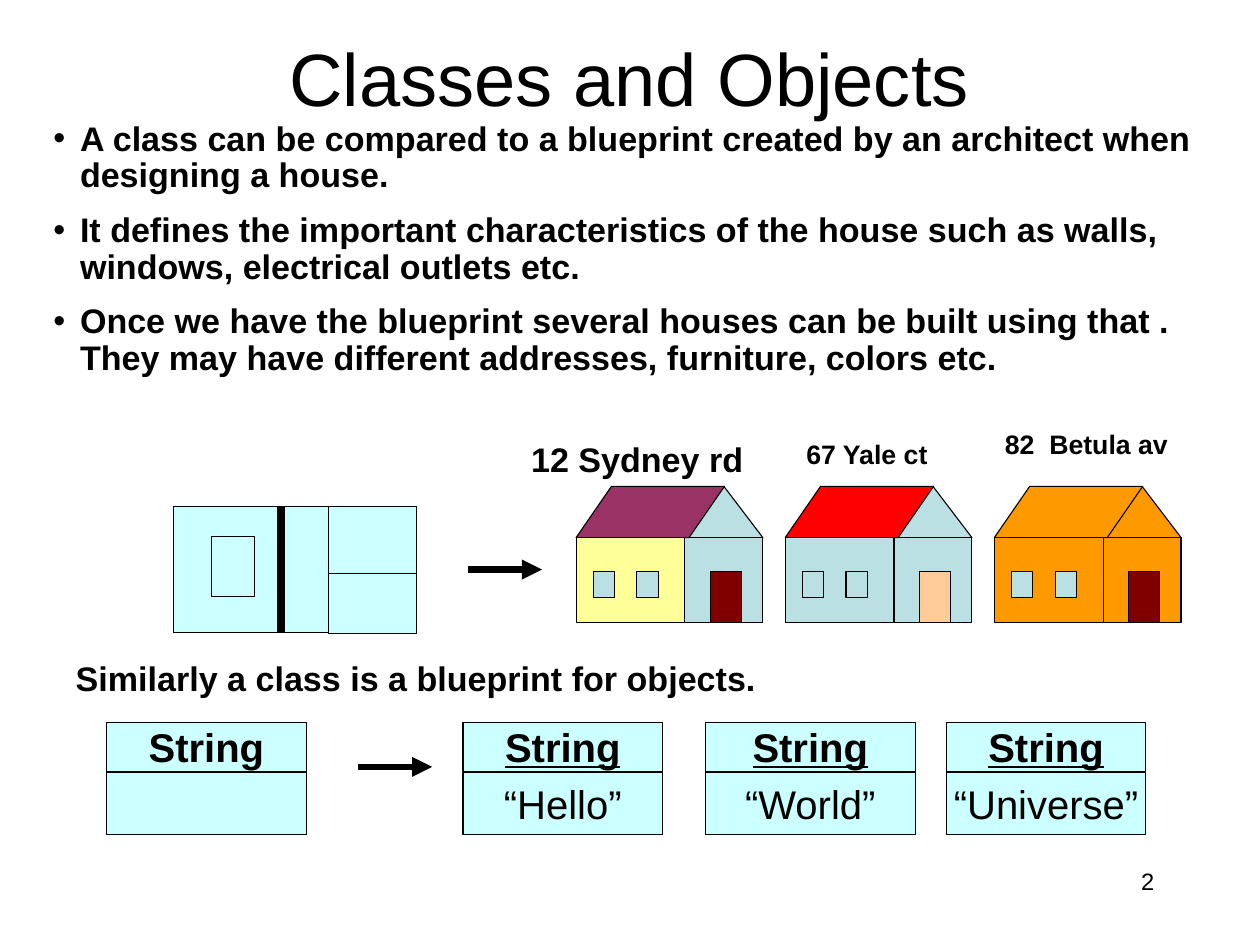
"""Build the slide comparing classes and objects with blueprints and houses."""
from pptx import Presentation
from pptx.dml.color import RGBColor
from pptx.enum.shapes import MSO_CONNECTOR as Connector, MSO_SHAPE as Shape
from pptx.enum.text import MSO_ANCHOR as Anchor, MSO_AUTO_SIZE as AutoSize, PP_ALIGN as Align
from pptx.oxml.ns import qn
from pptx.util import Pt
from lxml.etree import SubElement

PX = 9144
FONT = "Arial"
BLACK = RGBColor(0x00, 0x00, 0x00)
PAPER = RGBColor(0xCC, 0xFF, 0xFF)
PALE_BLUE = RGBColor(0xBB, 0xE0, 0xE3)
PLUM = RGBColor(0x99, 0x33, 0x66)
YELLOW = RGBColor(0xFF, 0xFF, 0x99)
RED = RGBColor(0xFF, 0x00, 0x00)
ORANGE = RGBColor(0xFF, 0x99, 0x00)
MAROON = RGBColor(0x80, 0x00, 0x00)
PEACH = RGBColor(0xFF, 0xCC, 0x99)

TITLE = "Classes and Objects"
BULLETS = [
    "A class can be compared to a blueprint created by an architect when designing a house.",
    "It defines the important characteristics of the house such as walls, windows, "
    "electrical outlets etc.",
    "Once we have the blueprint several houses can be built using that . "
    "They may have different addresses, furniture, colors etc.",
]
SUMMARY = "Similarly a class is a blueprint for objects."
PAGE = "2"

PLAN = [
    ((163, 475, 226, 118), PAPER),
    ((198, 503, 41, 56), PAPER),
    ((260, 475, 7, 118), BLACK),
    ((308, 475, 82, 63), PAPER),
    ((308, 538, 82, 56), PAPER),
]
HOUSE_LEFT, HOUSE_STEP = 540, 196
ROOF_TOP, ROOF_HEIGHT = 456, 48
HOUSES = [
    dict(roof=PLUM, wall=YELLOW, front=PALE_BLUE, door=MAROON),
    dict(roof=RED, wall=PALE_BLUE, front=PALE_BLUE, door=PEACH),
    dict(roof=ORANGE, wall=ORANGE, front=ORANGE, door=MAROON),
]
ADDRESSES = [
    ("12 Sydney rd", (488, 406, 237, 49), 23),
    ("67 Yale ct", (746, 406, 206, 40), 18),
    ("82  Betula av", (932, 396, 206, 40), 18),
]
CARDS = [
    (100, 187, ""),
    (434, 187, "“Hello”"),
    (661, 197, "“World”"),
    (887, 187, "“Universe”"),
]
ARROWS = [(439, 534), (336, 719)]
ARROW_LENGTH = 69


def emu(box):
    return [length * PX for length in box]


def add_run(paragraph, text, size, bold=False, underline=False):
    run = paragraph.add_run()
    run.text = text
    run.font.name = FONT
    run.font.size = Pt(size)
    run.font.bold = bold
    run.font.underline = underline
    run.font.color.rgb = BLACK


def set_frame(frame, anchor=Anchor.TOP, wrap=True, inset=(10, 5)):
    frame.auto_size = AutoSize.NONE
    frame.word_wrap = wrap
    frame.vertical_anchor = anchor
    frame.margin_left = frame.margin_right = inset[0] * PX
    frame.margin_top = frame.margin_bottom = inset[1] * PX


def place(shape, box):
    shape.left, shape.top, shape.width, shape.height = emu(box)


def add_part(shapes, kind, box, fill):
    shape = shapes.add_shape(kind, *emu(box))
    shape.shadow.inherit = False
    shape.fill.solid()
    shape.fill.fore_color.rgb = fill
    shape.line.color.rgb = BLACK
    shape.line.width = Pt(0.75)
    return shape


def add_label(slide, text, box, size, bold=True, align=Align.LEFT, **frame_options):
    frame = slide.shapes.add_textbox(*emu(box)).text_frame
    set_frame(frame, **frame_options)
    paragraph = frame.paragraphs[0]
    paragraph.alignment = align
    add_run(paragraph, text, size, bold)


def fill_placeholders(slide):
    title, body = slide.placeholders
    place(title, (116, 43, 948, 59))
    set_frame(title.text_frame, Anchor.MIDDLE, inset=(11, 6))
    heading = title.text_frame.paragraphs[0]
    heading.alignment = Align.CENTER
    add_run(heading, TITLE, 50)

    place(body, (39, 108, 1112, 259))
    frame = body.text_frame
    set_frame(frame, inset=(11, 6))
    for index, text in enumerate(BULLETS):
        paragraph = frame.add_paragraph() if index else frame.paragraphs[0]
        properties = paragraph._p.get_or_add_pPr()
        properties.set("marL", str(25 * PX))
        properties.set("indent", str(-25 * PX))
        SubElement(properties, qn("a:buChar")).set("char", "•")
        paragraph.line_spacing = 0.9
        paragraph.space_before = Pt(12 if index else 0)
        add_run(paragraph, text, 23, bold=True)


def add_plan(slide):
    shapes = slide.shapes.add_group_shape().shapes
    for box, fill in PLAN:
        add_part(shapes, Shape.RECTANGLE, box, fill)


def add_house(slide, left, roof, wall, front, door):
    shapes = slide.shapes.add_group_shape().shapes
    wall_top, front_left = ROOF_TOP + ROOF_HEIGHT, left + 102
    opening_top = wall_top + 32
    add_part(shapes, Shape.ISOSCELES_TRIANGLE, (front_left, ROOF_TOP, 73, ROOF_HEIGHT), front)
    add_part(shapes, Shape.RECTANGLE, (front_left, wall_top, 73, 80), front)
    slope = add_part(shapes, Shape.PARALLELOGRAM, (left, ROOF_TOP, 139, ROOF_HEIGHT), roof)
    slope.adjustments[0] = 0.69
    add_part(shapes, Shape.RECTANGLE, (left, wall_top, 102, 80), wall)
    for offset in (16, 57):
        add_part(shapes, Shape.RECTANGLE, (left + offset, opening_top, 20, 24), PALE_BLUE)
    add_part(shapes, Shape.RECTANGLE, (left + 126, opening_top, 29, 48), door)


def add_card(slide, left, width, value):
    shapes = slide.shapes.add_group_shape().shapes
    rows = [("String", 677, 46, True, bool(value)), (value, 724, 58, False, False)]
    for text, top, height, bold, underline in rows:
        cell = add_part(shapes, Shape.RECTANGLE, (left, top, width, height), PAPER)
        if text:
            set_frame(cell.text_frame, Anchor.MIDDLE, wrap=False)
            paragraph = cell.text_frame.paragraphs[0]
            paragraph.alignment = Align.CENTER
            add_run(paragraph, text, 27, bold, underline)


def add_arrow(slide, left, top):
    ends = emu((left, top, left + ARROW_LENGTH, top))
    arrow = slide.shapes.add_connector(Connector.STRAIGHT, *ends)
    arrow.line.color.rgb = BLACK
    arrow.line.width = Pt(4.5)
    properties = arrow.element.spPr
    SubElement(properties.find(qn("a:ln")), qn("a:tailEnd")).set("type", "triangle")
    SubElement(properties, qn("a:effectLst"))


def main():
    presentation = Presentation()
    presentation.slide_width, presentation.slide_height = emu((1181, 886))
    slide = presentation.slides.add_slide(presentation.slide_layouts[1])
    fill_placeholders(slide)
    add_plan(slide)
    for index, colours in enumerate(HOUSES):
        add_house(slide, HOUSE_LEFT + index * HOUSE_STEP, **colours)
    for address in ADDRESSES:
        add_label(slide, *address)
    add_label(slide, SUMMARY, (60, 610, 665, 50), 23, wrap=False, inset=(11, 6))
    for card in CARDS:
        add_card(slide, *card)
    for start in ARROWS:
        add_arrow(slide, *start)
    add_label(slide, PAGE, (847, 807, 246, 59), 16, False, Align.RIGHT, inset=(11, 6))
    presentation.save("out.pptx")


if __name__ == "__main__":
    main()
